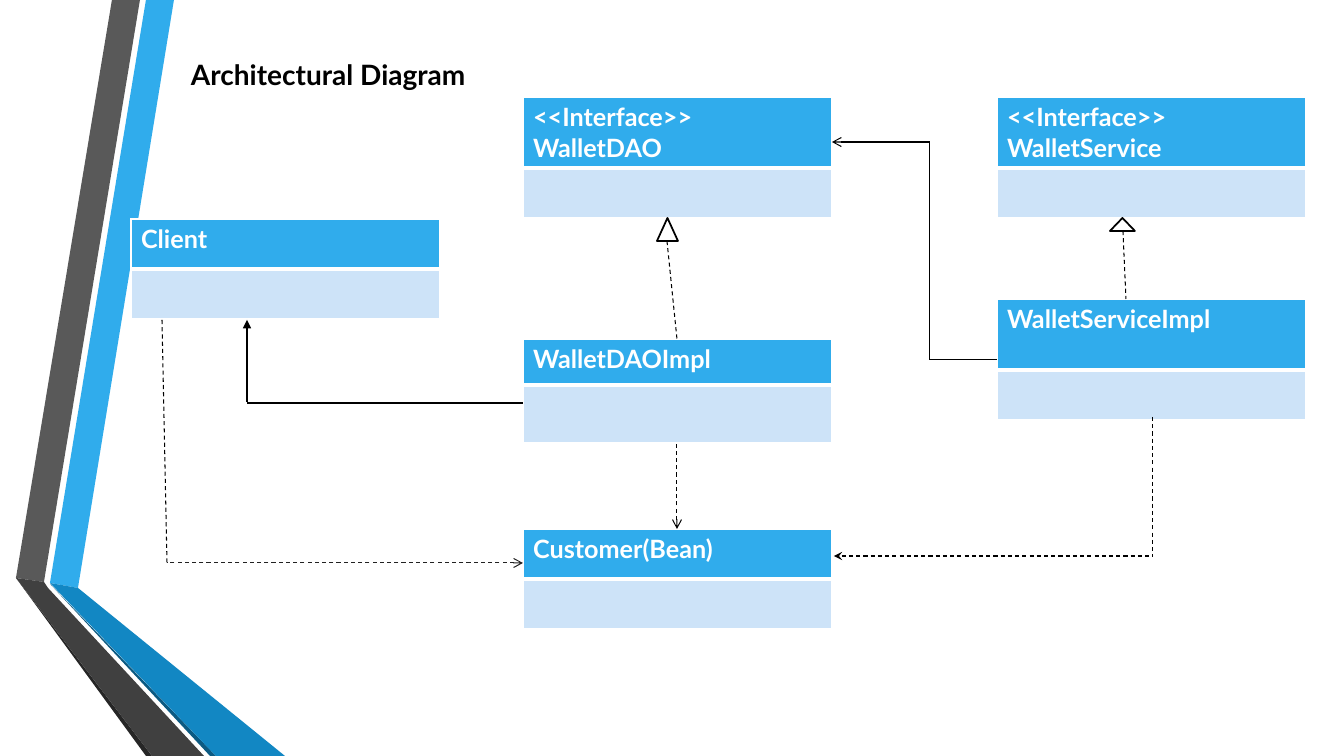
from lxml.etree import SubElement
from pptx import Presentation
from pptx.dml.color import RGBColor
from pptx.enum.dml import MSO_LINE
from pptx.enum.shapes import MSO_CONNECTOR, MSO_SHAPE
from pptx.oxml import parse_xml
from pptx.oxml.ns import nsdecls, qn
from pptx.util import Emu, Pt

WIDTH, HEIGHT = 1344, 756
BLUE, PALE, BLACK, WHITE = "30ACEC", "CDE3F8", "000000", "FFFFFF"


def px(n):
    """Turn pixels into EMU."""
    return Emu(round(n * 914400 / 100.8))


def rgb(value):
    """Turn a hex string into a colour."""
    return RGBColor.from_string(value)


class Diagram:
    """Holds the style and the current slide."""

    font = "Lato"
    class_width = 309

    def __init__(self, prs):
        """Add a blank slide."""
        self.shapes = prs.slides.add_slide(prs.slide_layouts[6]).shapes

    def set_text(self, tf, text, size, color):
        """Fill a text frame with bold paragraphs."""
        tf.text = text
        for p in tf.paragraphs:
            p.font.name, p.font.size, p.font.bold = self.font, Pt(size), True
            p.font.color.rgb = rgb(color)

    def title(self, text, x, y, w, h):
        """Add the slide heading."""
        tf = self.shapes.add_textbox(px(x), px(y), px(w), px(h)).text_frame
        tf.word_wrap = True
        self.set_text(tf, text, 20, BLACK)

    def band(self, color, *points):
        """Add a filled polygon of the side ribbon."""
        builder = self.shapes.build_freeform(*points[0], scale=px(1))
        builder.add_line_segments(points[1:], close=True)
        sp = builder.convert_to_shape()
        sp.shadow.inherit = False
        sp.fill.solid()
        sp.fill.fore_color.rgb = rgb(color)
        sp.line.fill.background()

    def cell(self, cell, color, top, bottom):
        """Fill a cell and give it white borders."""
        tc_pr = cell._tc.get_or_add_tcPr()
        for side, width in zip("LRTB", (1, 1, top, bottom)):
            tc_pr.append(parse_xml(
                f'<a:ln{side} {nsdecls("a")} w="{Pt(width)}"><a:solidFill>'
                f'<a:srgbClr val="{WHITE}"/></a:solidFill></a:ln{side}>'))
        cell.fill.solid()
        cell.fill.fore_color.rgb = rgb(color)

    def class_box(self, name, x, y, head=50, body=50):
        """Add a class as a table of a name row and an empty row."""
        table = self.shapes.add_table(2, 1, px(x), px(y), px(self.class_width),
                                      px(head + body)).table
        table.first_row = table.horz_banding = False
        table.rows[0].height, table.rows[1].height = px(head), px(body)
        self.cell(table.cell(0, 0), BLUE, 1, 3)
        self.cell(table.cell(1, 0), PALE, 3, 1)
        self.set_text(table.cell(0, 0).text_frame, name, 18, WHITE)

    def line(self, start, end, head=None, dashed=True, width=0.75, color=BLACK):
        """Add a straight line, with an optional arrowhead at its start."""
        s = self.shapes.add_connector(MSO_CONNECTOR.STRAIGHT,
                                      *map(px, (*start, *end)))
        s.line.width = Pt(width)
        s.line.color.rgb = rgb(color)
        if dashed:
            s.line.dash_style = MSO_LINE.DASH
        if head:
            SubElement(s.line._get_or_add_ln(), qn("a:headEnd"), type=head)
        SubElement(s._element.spPr, qn("a:effectLst"))

    def triangle(self, x, y, w, h):
        """Add the hollow head of a realization arrow."""
        sp = self.shapes.add_shape(MSO_SHAPE.FLOWCHART_EXTRACT,
                                   *map(px, (x, y, w, h)))
        sp.shadow.inherit = False
        sp.fill.solid()
        sp.fill.fore_color.rgb = rgb(WHITE)
        sp.line.color.rgb = rgb(BLACK)
        sp.line.width = Pt(1.25)


prs = Presentation()
prs.slide_width, prs.slide_height = px(WIDTH), px(HEIGHT)
s = Diagram(prs)

# Side ribbon
s.band(BLUE, (50, 583), (78, 588), (174, 0), (146, 0))
s.band("595959", (140, 0), (112, 0), (16, 578), (44, 582))
s.band("262626", (16, 578), (146, HEIGHT), (152, HEIGHT))
s.band("0C5A82", (50, 584), (210, HEIGHT), (216, HEIGHT))
s.band("1287C3", (50, 583), (216, HEIGHT), (285, HEIGHT), (78, 588))
s.band("404040", (204, HEIGHT), (48, 588), (44, 582), (16, 578), (152, HEIGHT))

# Classes
DAO_X, SERVICE_X = 523, 997
s.class_box("Client", 131, 219)
s.class_box("<<Interface>>\nWalletDAO", DAO_X, 97, head=71)
s.class_box("<<Interface>>\nWalletService", SERVICE_X, 97, head=71)
s.class_box("WalletDAOImpl", DAO_X, 339, head=46, body=58)
s.class_box("WalletServiceImpl", SERVICE_X, 299, head=71)
s.class_box("Customer(Bean)", DAO_X, 529)

# WalletDAOImpl to Client and Customer
s.line((247, 320), (247, 402), "triangle", dashed=False, width=1.25)
s.line((DAO_X, 403), (247, 403), dashed=False, width=1.25)
s.line((677, 529), (677, 443), "arrow")

# Client to Customer
s.line((162, 320), (167, 563))
s.line((DAO_X, 563), (167, 563), "arrow", color="212121")

# Realizations of the interfaces
s.triangle(657, 218, 21, 23)
s.triangle(1110, 218, 25, 13)
s.line((1123, 231), (1126, 299))
s.line((667, 241), (677, 339))

# WalletServiceImpl to WalletDAO
s.line((832, 142), (930, 142), "arrow", dashed=False)
s.line((930, 142), (930, 360), dashed=False)
s.line((930, 360), (SERVICE_X, 360), dashed=False)

# WalletServiceImpl to Customer
s.line((1153, 417), (1153, 555))
s.line((834, 556), (1153, 556), "stealth")

s.title("Architectural Diagram", 181, 53, 387, 44)
prs.save("out.pptx")
